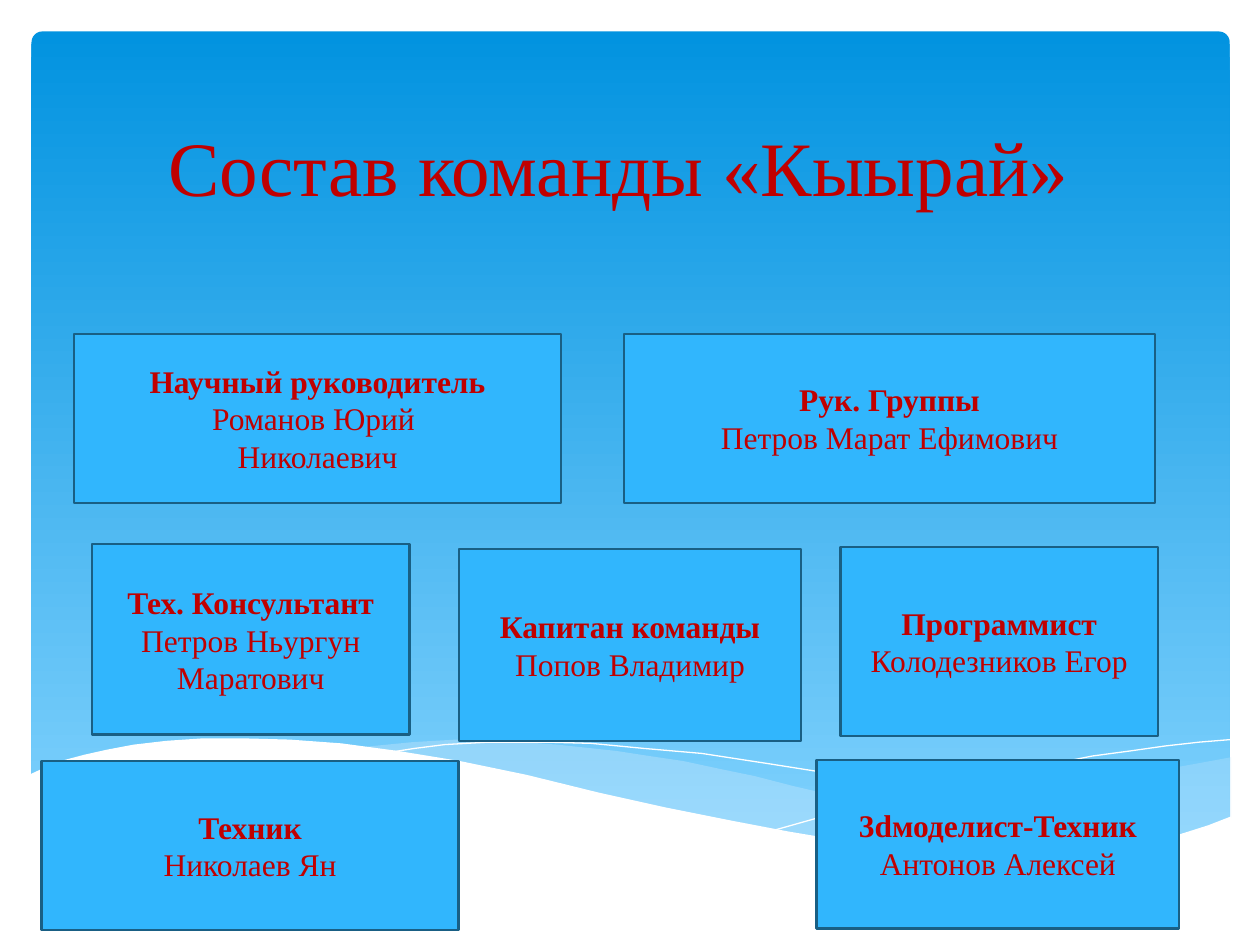
"""Build the team roster slide with a wave backdrop."""
import pptx
import pptx.util
import pptx.dml.color
import pptx.enum.shapes
import pptx.enum.text
import pptx.oxml.ns
import lxml.etree

Inches = pptx.util.Inches
Pt = pptx.util.Pt
RGB = pptx.dml.color.RGBColor
Kind = pptx.enum.shapes.MSO_SHAPE
Anchor = pptx.enum.text.MSO_ANCHOR
Align = pptx.enum.text.PP_ALIGN

WHITE = RGB(0xFF, 0xFF, 0xFF)
RED = RGB(0xC0, 0x00, 0x00)
BLUE = RGB(0x31, 0xB6, 0xFD)
EDGE = RGB(0x19, 0x5F, 0x84)
PALE = RGB(0xC6, 0xE7, 0xFC)
TOP = RGB(0x02, 0x93, 0xE0)
BASE = RGB(0x83, 0xD3, 0xFE)

deck = pptx.Presentation()
deck.slide_width, deck.slide_height = Inches(10), Inches(7.5)
slide = deck.slides.add_slide(deck.slide_layouts[6])
shapes = slide.shapes


def write(shape, lines, size=18, lead=False, anchor=Anchor.MIDDLE):
    """Fill a shape with centred lines, the first bold if lead is set."""
    frame = shape.text_frame
    frame.word_wrap = True
    frame.vertical_anchor = anchor
    for i, line in enumerate(lines):
        para = frame.paragraphs[0] if i == 0 else frame.add_paragraph()
        para.alignment = Align.CENTER
        run = para.add_run()
        run.text = line
        run.font.name = "Times New Roman"
        run.font.size = Pt(size)
        run.font.bold = lead and i == 0
        run.font.color.rgb = RED


def wave(points, fill=None, alpha=100):
    """Draw a filled wave, or a white hairline when no fill is given."""
    spots = [(Inches(x), Inches(y)) for x, y in points]
    pen = shapes.build_freeform(*spots[0], scale=1.0)
    pen.add_line_segments(spots[1:], close=fill is not None)
    shape = pen.convert_to_shape()
    shape.shadow.inherit = False
    if fill is None:
        shape.fill.background()
        shape.line.color.rgb = WHITE
        shape.line.width = Pt(0)
        return
    shape.line.fill.background()
    shape.fill.solid()
    shape.fill.fore_color.rgb = fill
    if alpha < 100:
        qn = pptx.oxml.ns.qn
        tint = shape.fill._xPr.find(qn("a:solidFill"))[0]
        lxml.etree.SubElement(tint, qn("a:alpha")).set("val", str(alpha * 1000))


sky = shapes.add_shape(Kind.ROUNDED_RECTANGLE, Inches(0.25), Inches(0.25),
                       Inches(9.51), Inches(6.6))
sky.adjustments[0] = 0.013
sky.shadow.inherit = False
sky.line.fill.background()
sky.fill.gradient()
sky.fill.gradient_angle = 270
for stop, color, place in zip(sky.fill.gradient_stops, (TOP, BASE), (0, 1)):
    stop.color.rgb = color
    stop.position = place

wave([(9.77, 6.01), (9.5, 6.06), (9.22, 6.11), (8.92, 6.18), (8.62, 6.25),
      (8.06, 6.39), (7.54, 6.5), (7.07, 6.59), (6.62, 6.67), (6.92, 6.71),
      (7.19, 6.74), (7.46, 6.77), (7.7, 6.79), (8.04, 6.8), (8.45, 6.79),
      (8.73, 6.76), (8.98, 6.72), (9.22, 6.67), (9.51, 6.59), (9.77, 6.49)],
     PALE, 29)
wave([(8.94, 6.75), (8.67, 6.71), (8.08, 6.62), (7.42, 6.49), (6.69, 6.33),
      (6.3, 6.24), (5.99, 6.16), (5.7, 6.1), (5.42, 6.04), (5.15, 6),
      (4.89, 5.96), (4.42, 5.91), (4, 5.88), (3.62, 5.87), (3.28, 5.89),
      (2.87, 5.93), (3.23, 5.98), (3.63, 6.04), (4.05, 6.13), (4.5, 6.24),
      (4.91, 6.34), (5.3, 6.42), (5.67, 6.5), (6.02, 6.57), (6.35, 6.63),
      (6.66, 6.68), (6.96, 6.72), (7.23, 6.76), (7.49, 6.78), (7.86, 6.8),
      (8.29, 6.8), (8.59, 6.79)], PALE, 40)
wave([(3.1, 5.97), (3.29, 5.94), (3.53, 5.91), (3.88, 5.89), (4.33, 5.89),
      (4.69, 5.9), (5.11, 5.94), (5.57, 5.98), (6.09, 6.06), (6.66, 6.15),
      (7.28, 6.28), (7.96, 6.43), (8.7, 6.62), (9.08, 6.73)])
wave([(6.14, 6.59), (6.53, 6.48), (6.96, 6.37), (7.49, 6.25), (8.07, 6.12),
      (8.67, 6), (8.97, 5.96), (9.25, 5.92), (9.52, 5.89), (9.76, 5.87)])
wave([(9.77, 6.48), (9.59, 6.55), (9.4, 6.61), (9.2, 6.67), (8.99, 6.71),
      (8.75, 6.75), (8.5, 6.77), (8.09, 6.79), (7.78, 6.78), (7.44, 6.76),
      (7.08, 6.72), (6.68, 6.67), (6.26, 6.6), (5.79, 6.51), (5.29, 6.41),
      (4.75, 6.29), (4.18, 6.15), (3.65, 6.04), (3.16, 5.96), (2.71, 5.9),
      (2.3, 5.87), (1.93, 5.86), (1.61, 5.86), (1.32, 5.88), (1.06, 5.91),
      (0.85, 5.95), (0.67, 5.99), (0.52, 6.03), (0.36, 6.09), (0.23, 6.15),
      (0.23, 7.31), (9.77, 7.31)], WHITE)

title = shapes.add_textbox(Inches(0.66), Inches(-0.27), Inches(8.5), Inches(2))
write(title, ["Состав команды «Кыырай»"], size=44, anchor=Anchor.BOTTOM)

team = [
    (0.73, 4.32, 2.52, 1.51, ["Тех. Консультант", "Петров Ньургун Маратович"]),
    (4.95, 2.65, 4.22, 1.34, ["Рук. Группы", "Петров Марат Ефимович"]),
    (6.67, 4.34, 2.52, 1.5, ["Программист", "Колодезников Егор"]),
    (3.64, 4.36, 2.72, 1.52, ["Капитан команды", "Попов Владимир"]),
    (0.59, 2.65, 3.86, 1.34,
     ["Научный руководитель", "Романов Юрий ", "Николаевич"]),
    (6.48, 6.03, 2.88, 1.34, ["3dмоделист-Техник", "Антонов Алексей"]),
    (0.33, 6.04, 3.31, 1.34, ["Техник", "Николаев Ян"]),
]
for *box, lines in team:
    card = shapes.add_shape(Kind.RECTANGLE, *map(Inches, box))
    card.shadow.inherit = False
    card.fill.solid()
    card.fill.fore_color.rgb = BLUE
    card.line.color.rgb = EDGE
    card.line.width = Pt(1.25)
    write(card, lines, lead=True)

deck.save("out.pptx")
